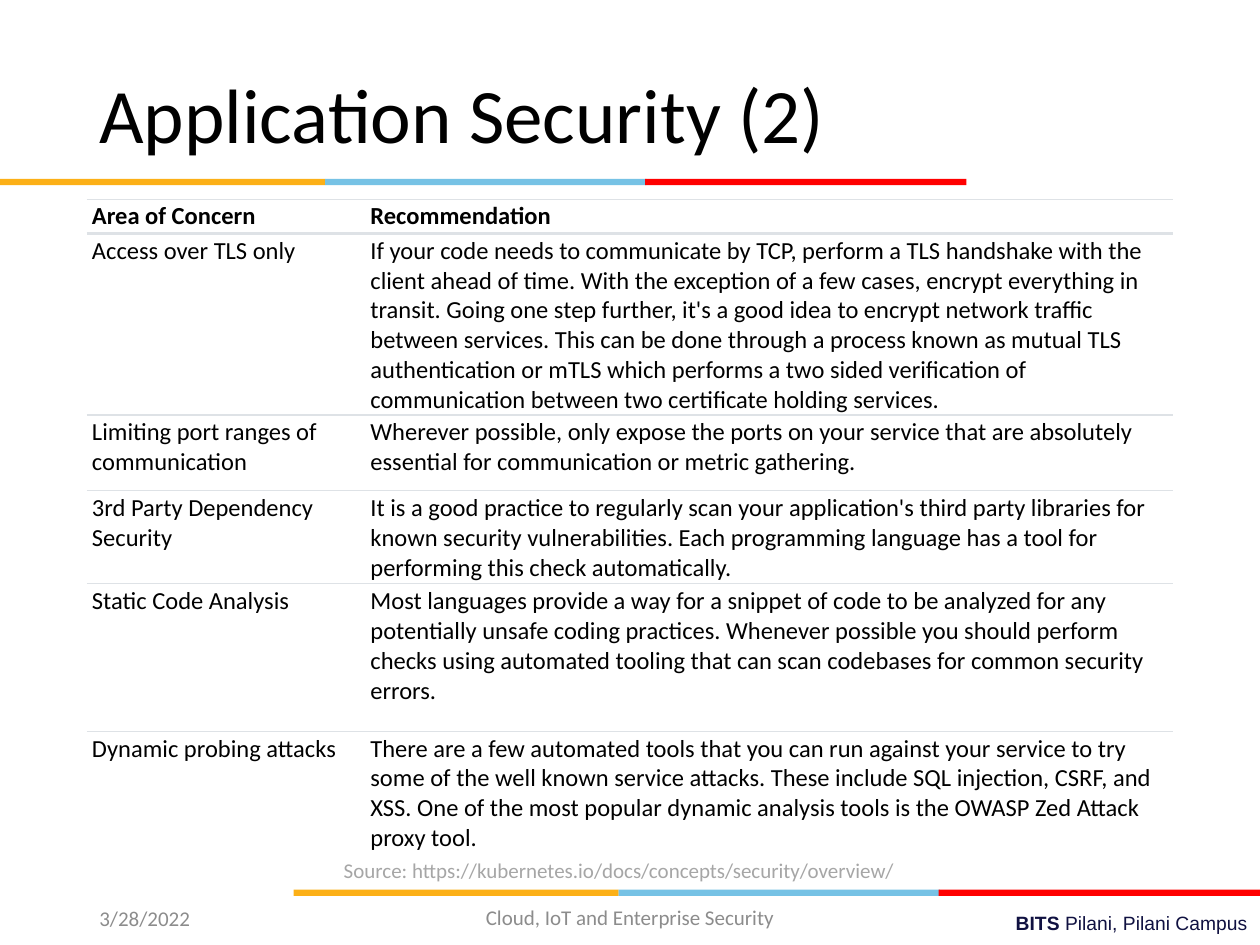
import pptx
import pptx.dml.color
import pptx.enum.shapes
import pptx.enum.text
import pptx.oxml
import pptx.oxml.ns
import pptx.util

RGBColor = pptx.dml.color.RGBColor
ALIGN = pptx.enum.text.PP_ALIGN
ANCHOR = pptx.enum.text.MSO_ANCHOR

BLACK = RGBColor(0x00, 0x00, 0x00)
WHITE = RGBColor(0xFF, 0xFF, 0xFF)
NAVY = RGBColor(0x10, 0x11, 0x41)
GRAY = RGBColor(0x8C, 0x8C, 0x8C)
LIGHT_GRAY = RGBColor(0xA6, 0xA6, 0xA6)
RULE_GRAY = RGBColor(0xDE, 0xE2, 0xE6)
AMBER = RGBColor(0xFC, 0xB0, 0x17)
SKY = RGBColor(0x76, 0xC2, 0xE5)
RED = RGBColor(0xFF, 0x00, 0x00)

deck = pptx.Presentation()
deck.slide_width = pptx.util.Inches(10)
deck.slide_height = pptx.util.Inches(7.5)
slide = deck.slides.add_slide(deck.slide_layouts[6])

# The grid has 100 columns and 75 rows of square units
UNIT = deck.slide_width / 100


def grid(*units):
    return [pptx.util.Emu(round(n * UNIT)) for n in units]


def write(paragraph, runs, **font_values):
    for text, bold in runs:
        run = paragraph.add_run()
        run.text = text
        run.font.bold = bold
        run.font.color.rgb = font_values["color"]
        for key in ("name", "size"):
            setattr(run.font, key, font_values[key])


# Three-colour bands below the title and above the footer
for band_left, band_top in ((0, 14.2), (23.3, 70.6)):
    for offset, width, color in ((0, 25.8, AMBER), (25.8, 25.5, SKY), (51.2, 25.5, RED)):
        stripe = slide.shapes.add_shape(
            pptx.enum.shapes.MSO_SHAPE.RECTANGLE,
            *grid(band_left + offset, band_top, width, 0.5))
        stripe.shadow.inherit = False
        stripe.fill.solid()
        stripe.fill.fore_color.rgb = color
        stripe.line.fill.background()

# Title, footer and source line
texts = [
    ((6.9, 4.8, 86.2, 9.3), [("Application Security (2)", False)],
     "Calibri", 44, BLACK, ALIGN.LEFT, ANCHOR.MIDDLE, 0.9),
    ((6.9, 70.9, 22.5, 4), [("3/28/2022", False)],
     "Calibri", 12, GRAY, ALIGN.LEFT, ANCHOR.MIDDLE, 1),
    ((33.1, 70.8, 33.8, 4), [("Cloud, IoT and Enterprise Security", False)],
     "Calibri", 12, GRAY, ALIGN.CENTER, ANCHOR.MIDDLE, 1),
    ((35.8, 71.8, 64.2, 2.9), [("BITS ", True), ("Pilani, Pilani Campus", False)],
     "Arial", 11, NAVY, ALIGN.RIGHT, ANCHOR.TOP, 1),
    ((26.3, 67.6, 46, 3),
     [("Source: https://kubernetes.io/docs/concepts/security/overview/", False)],
     "Calibri", 12, LIGHT_GRAY, ALIGN.LEFT, ANCHOR.TOP, 1),
]
for place, runs, font, size, color, align, anchor, spacing in texts:
    frame = slide.shapes.add_textbox(*grid(*place)).text_frame
    frame.word_wrap = True
    frame.vertical_anchor = anchor
    line = frame.paragraphs[0]
    line.alignment = align
    line.line_spacing = spacing
    write(line, runs, name=font, size=pptx.util.Pt(size), color=color)

# Recommendations table
recommendations = [
    ("Area of Concern", "Recommendation"),
    ("Access over TLS only",
     "If your code needs to communicate by TCP, perform a TLS handshake with the client "
     "ahead of time. With the exception of a few cases, encrypt everything in transit. "
     "Going one step further, it's a good idea to encrypt network traffic between services. "
     "This can be done through a process known as mutual TLS authentication or mTLS which "
     "performs a two sided verification of communication between two certificate holding "
     "services."),
    ("Limiting port ranges of communication",
     "Wherever possible, only expose the ports on your service that are absolutely "
     "essential for communication or metric gathering."),
    ("3rd Party Dependency Security",
     "It is a good practice to regularly scan your application's third party libraries for "
     "known security vulnerabilities. Each programming language has a tool for performing "
     "this check automatically."),
    ("Static Code Analysis",
     "Most languages provide a way for a snippet of code to be analyzed for any potentially "
     "unsafe coding practices. Whenever possible you should perform checks using automated "
     "tooling that can scan codebases for common security errors."),
    ("Dynamic probing attacks",
     "There are a few automated tools that you can run against your service to try some of "
     "the well known service attacks. These include SQL injection, CSRF, and XSS. One of the "
     "most popular dynamic analysis tools is the OWASP Zed Attack proxy tool."),
]
column_widths = grid(22.1, 64.1)
row_heights = grid(1.5, 14, 6, 6, 11.7, 8.3)
table = slide.shapes.add_table(
    len(row_heights), len(column_widths), *grid(6.9, 15.8),
    sum(column_widths), sum(row_heights)).table
table.first_row = False
table.horz_banding = False
for column, width in zip(table.columns, column_widths):
    column.width = width
for row, height in zip(table.rows, row_heights):
    row.height = height

side, edge = grid(0.4, 0.2)
cell_format = {"margin_left": side, "margin_right": side,
               "margin_top": edge, "margin_bottom": edge}
last = len(recommendations) - 1
for r, entries in enumerate(recommendations):
    for c, entry in enumerate(entries):
        cell = table.cell(r, c)
        for key, value in cell_format.items():
            setattr(cell, key, value)
        cell.vertical_anchor = ANCHOR.BOTTOM if r == 0 else ANCHOR.TOP
        write(cell.text_frame.paragraphs[0], [(entry, r == 0)],
              name="Calibri", size=pptx.util.Pt(14), color=BLACK)

        # Horizontal rules only, none under the last row
        for tag in ("lnL", "lnR", "lnT", "lnB"):
            ruled = tag == "lnT" or (tag == "lnB" and r < last)
            paint = (f'<a:solidFill><a:srgbClr val="{RULE_GRAY}"/></a:solidFill>'
                     if ruled else "<a:noFill/>")
            heavy = (r, tag) in ((0, "lnB"), (1, "lnT"))
            weight = pptx.util.Pt(1.5 if heavy else 0.75)
            cell._tc.get_or_add_tcPr().append(pptx.oxml.parse_xml(
                f'<a:{tag} {pptx.oxml.ns.nsdecls("a")} w="{weight}">{paint}</a:{tag}>'))
        cell.fill.solid()
        cell.fill.fore_color.rgb = WHITE

deck.save("out.pptx")
